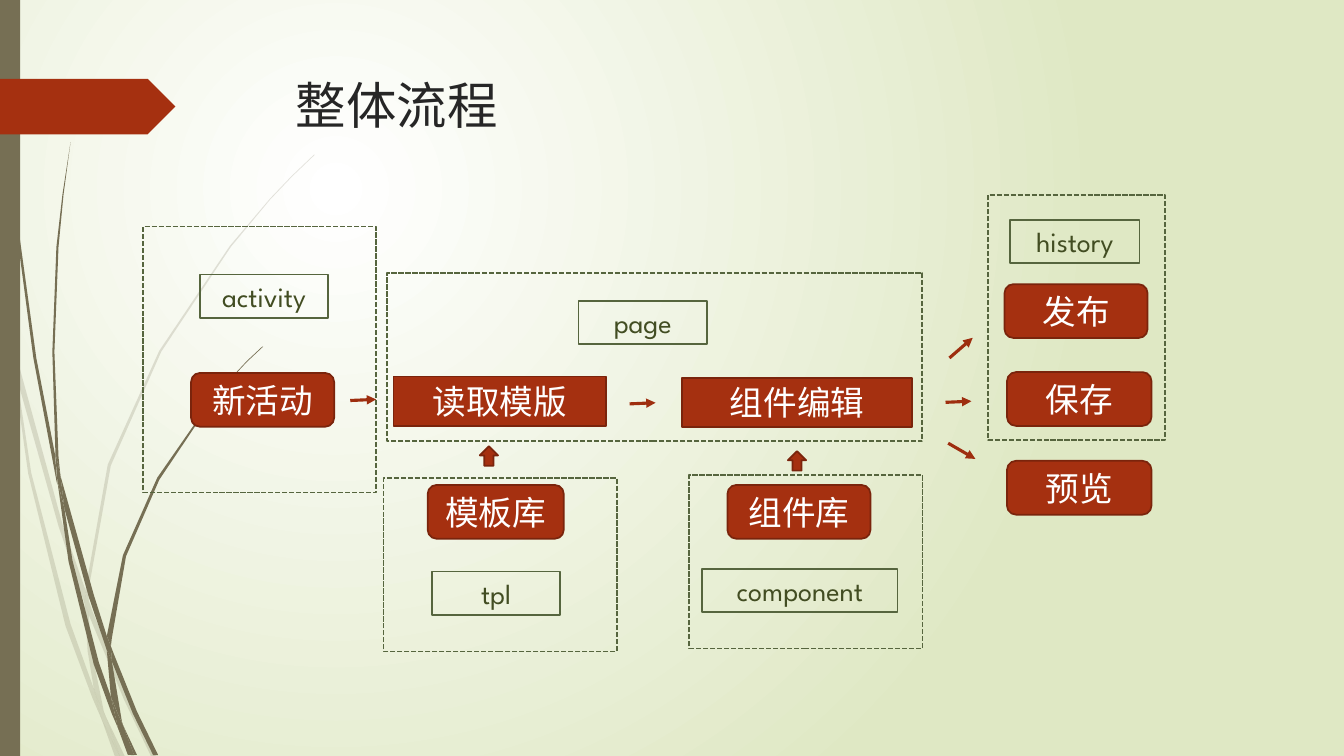
from lxml import etree
from pptx import Presentation
from pptx.dml.color import RGBColor
from pptx.enum import dml, shapes, text
from pptx.oxml.ns import qn
from pptx.util import Pt

FONT = "League Spartan"
COLORS = {
    "white": "FFFFFF", "meadow": "DFE8C4", "stem": "766F54", "ink": "262626",
    "rust": "A53010", "rust_edge": "7A240C", "arrow": "9E2E0F",
    "olive": "56653E", "olive_text": "424D22",
}
TITLE = "整体流程"

# left, top, width, height
TITLE_BOX = (204.2, 49, 702, 100.8)
SIDE_BAR = (0, 0, 14.4, 540)
RIBBON = (0, 56.3, 125.3, 39.6)

ROUNDED_STEPS = [
    ("新活动", (136.5, 266.4, 102.2, 38.4)),
    ("模板库", (305.5, 346.4, 97.2, 38.4)),
    ("组件库", (519.6, 346.4, 102.2, 38.4)),
    ("发布", (717.5, 203, 102.2, 38.4)),
    ("保存", (719.3, 265.8, 103.2, 38.4)),
    ("预览", (719.3, 329.2, 103.2, 38.4)),
]
SQUARE_STEPS = [
    ("读取模版", (281, 269, 151.8, 35.2)),
    ("组件编辑", (487.2, 270, 164.4, 35)),
]
UP_ARROWS = [(342.7, 318.8, 13, 13.9), (562.8, 322.3, 13, 13.9)]

# x and y of the start, then of the tip
FLOW_ARROWS = [
    (250.2, 286.1, 268.7, 285.3),
    (449.7, 288.5, 468.3, 287.7),
    (675.4, 287.4, 693.9, 286.6),
    (677.3, 316.6, 696.7, 327.8),
    (678.2, 255.7, 694.8, 241.3),
]

# table name, dashed frame, label box
TABLES = [
    ("activity", (102.2, 161.8, 166.6, 190), (142.7, 196.1, 91.8, 31)),
    ("tpl", (274, 341.5, 166.6, 124), (308.4, 408.3, 91.8, 31)),
    ("component", (492.3, 339.3, 166.6, 124), (501.7, 406.4, 139.4, 31)),
    ("page", (276.5, 195, 382.4, 120), (413.2, 215, 91.8, 31)),
    ("history", (705.8, 139.3, 126.6, 175), (721.5, 157, 92.4, 31)),
]

# corners of each blade of grass
PALE_BLADES = [
    [(7.9, 252), (6.5, 231.8), (0, 203), (0, 215.3), (7.2, 247.7)],
    [(41.8, 375.8), (60.5, 431.3), (61.2, 421.9), (44.6, 374.4),
     (10.1, 248.4), (12.2, 270.7)],
    [(66.2, 437), (63.4, 429.1), (63.4, 439.2), (88.6, 499.7), (108, 540.5),
     (111.6, 540.5), (91.4, 498.2)],
    [(85.7, 540.5), (89.3, 540.5), (75.6, 511.9)],
    [(67, 491.8), (50.4, 445.7), (22.3, 337.7), (12.2, 270.7), (7.9, 252),
     (20.2, 338.4), (46.8, 447.1), (66.2, 499), (72.7, 514.1), (71.3, 509)],
    [(60.5, 431.3), (62.6, 465.1), (67, 491.8), (69.1, 498.2), (75.6, 511.9),
     (74.2, 508.3), (65.5, 465.1), (63.4, 439.2), (63.4, 437.8)],
    [(63.4, 420.5), (79.2, 332.6), (115.2, 251.3), (164.9, 176.4),
     (193, 142.6), (208.8, 126), (224.6, 110.9), (224.6, 110.2),
     (208.1, 126), (193, 141.8), (164.2, 175.7), (113.8, 250.6),
     (77, 331.9), (61.2, 420.5), (61.2, 421.9), (63.4, 429.1)],
    [(72.7, 514.1), (82.1, 540.5), (85.7, 540.5)],
    [(63.4, 437.8), (63.4, 439.2), (63.4, 429.1), (61.2, 421.9), (60.5, 431.3)],
    [(69.1, 498.2), (67, 491.8), (71.3, 509), (72.7, 514.1), (85.7, 540.5),
     (75.6, 511.9)],
]
DARK_BLADES = [
    [(5, 79.2), (12.2, 167.8), (23.8, 255.6), (40.3, 343.4), (41, 346.3),
     (39.6, 329), (39.6, 326.2), (25.9, 255.6), (13.7, 167), (5.8, 78.5),
     (3.6, 34.6), (2.9, 0), (2.2, 0), (2.9, 34.6)],
    [(63.4, 426.2), (76.3, 464.4), (76.3, 454.3), (67, 424.8), (43.2, 339.8),
     (46.1, 363.6)],
    [(81.4, 467.3), (79.2, 461.5), (79.9, 472.3), (95, 509.8), (109.4, 539.3),
     (113, 539.3), (97.9, 508.3)],
    [(79.2, 497.5), (70.6, 473), (51.8, 400.3), (46.1, 363.6), (41, 343.4),
     (49, 401), (67, 474.5), (79.9, 509.8), (84.2, 519.8), (83.5, 516.2)],
    [(43.2, 339.8), (41.8, 326.2), (38.9, 251.3), (41.8, 176.4), (45.4, 139),
     (50.4, 101.5), (44.6, 139), (40.3, 176.4), (37.4, 251.3), (39.6, 323.3)],
    [(95.8, 539.3), (97.9, 539.3), (87.8, 517.7)],
    [(41, 343.4), (46.1, 363.6), (43.2, 339.8), (39.6, 323.3), (39.6, 326.2)],
    [(79.9, 455.8), (90, 397.4), (113.8, 342.7), (147.6, 292.3),
     (166.3, 269.3), (176.4, 258.5), (187.9, 247.7), (187.2, 247.7),
     (176.4, 257.8), (166.3, 268.6), (146.9, 291.6), (112.3, 341.3),
     (87.8, 396.7), (76.3, 454.3), (79.2, 461.5)],
    [(84.2, 519.8), (91.4, 539.3), (94.3, 539.3)],
    [(76.3, 464.4), (79.2, 497.5), (83.5, 508.3), (87.8, 517.7),
     (87.1, 515.5), (79.9, 472.3), (78.5, 468.7)],
    [(76.3, 464.4), (78.5, 468.7), (79.9, 472.3), (79.2, 461.5), (76.3, 454.3)],
    [(83.5, 508.3), (79.2, 497.5), (83.5, 516.2), (84.2, 519.8),
     (93.6, 539.3), (95.8, 539.3), (87.8, 517.7)],
]

prs = Presentation()
prs.slide_width, prs.slide_height = Pt(960), Pt(540)
slide = prs.slides.add_slide(prs.slide_layouts[5])


def rgb(name):
    return RGBColor.from_string(COLORS[name])


def paint(shape, fill=None, line=None, dashed=False):
    shape.shadow.inherit = False
    if fill:
        shape.fill.solid()
        shape.fill.fore_color.rgb = rgb(fill)
    else:
        shape.fill.background()
    if line:
        shape.line.color.rgb = rgb(line)
        shape.line.width = Pt(1.25)
        if dashed:
            shape.line.dash_style = dml.MSO_LINE.SQUARE_DOT
    else:
        shape.line.fill.background()


def add_box(kind, box, **look):
    shape = slide.shapes.add_shape(kind, *map(Pt, box))
    paint(shape, **look)
    return shape


def write(shape, words, size, color, align, anchor):
    frame = shape.text_frame
    frame.word_wrap = True
    frame.vertical_anchor = anchor
    paragraph = frame.paragraphs[0]
    paragraph.alignment = align
    run = paragraph.add_run()
    run.text = words
    run.font.name, run.font.size = FONT, Pt(size)
    run.font.color.rgb = rgb(color)


def write_centred(shape, words, size, color):
    write(shape, words, size, color, text.PP_ALIGN.CENTER, text.MSO_ANCHOR.MIDDLE)


def add_blade(corners, opacity):
    outline = [(Pt(x), Pt(y)) for x, y in corners]
    builder = slide.shapes.build_freeform(*outline[0], scale=1.0)
    builder.add_line_segments(outline[1:], close=True)
    blade = builder.convert_to_shape()
    paint(blade, fill="stem")
    if opacity < 100:
        color = blade._element.spPr.find(".//" + qn("a:srgbClr"))
        etree.SubElement(color, qn("a:alpha"), val=str(opacity * 1000))


def add_flow_arrow(ends):
    arrow = slide.shapes.add_connector(shapes.MSO_CONNECTOR.STRAIGHT, *map(Pt, ends))
    arrow.line.color.rgb = rgb("arrow")
    arrow.line.width = Pt(2.25)
    properties = arrow._element.spPr
    etree.SubElement(properties.find(qn("a:ln")), qn("a:tailEnd"), type="triangle")
    etree.SubElement(properties, qn("a:effectLst"))


def set_radial_background():
    fill = slide.background.fill
    fill.gradient()
    for stop, name in zip(fill.gradient_stops, ("white", "meadow")):
        stop.color.rgb = rgb(name)
    gradient = slide._element.find(".//" + qn("a:gradFill"))
    gradient.remove(gradient.find(qn("a:lin")))
    circle = etree.SubElement(gradient, qn("a:path"), path="circle")
    etree.SubElement(circle, qn("a:fillToRect"),
                     l="50000", t="50000", r="100000", b="100000")


set_radial_background()
for blades, opacity in ((PALE_BLADES, 20), (DARK_BLADES, 100)):
    for corners in blades:
        add_blade(corners, opacity)

KIND = shapes.MSO_SHAPE
add_box(KIND.RECTANGLE, SIDE_BAR, fill="stem")
add_box(KIND.PENTAGON, RIBBON, fill="rust")

title = slide.shapes.title
title.left, title.top, title.width, title.height = map(Pt, TITLE_BOX)
write(title, TITLE, 36, "ink", text.PP_ALIGN.LEFT, text.MSO_ANCHOR.TOP)

for kind, steps in ((KIND.ROUNDED_RECTANGLE, ROUNDED_STEPS),
                    (KIND.RECTANGLE, SQUARE_STEPS)):
    for words, box in steps:
        write_centred(add_box(kind, box, fill="rust", line="rust_edge"),
                      words, 24, "white")

for ends in FLOW_ARROWS:
    add_flow_arrow(ends)
for box in UP_ARROWS:
    add_box(KIND.UP_ARROW, box, fill="rust", line="rust_edge")

for name, frame, label_box in TABLES:
    add_box(KIND.RECTANGLE, frame, line="olive", dashed=True)
    write_centred(add_box(KIND.RECTANGLE, label_box, line="olive"),
                  name, 20, "olive_text")

prs.save("out.pptx")
